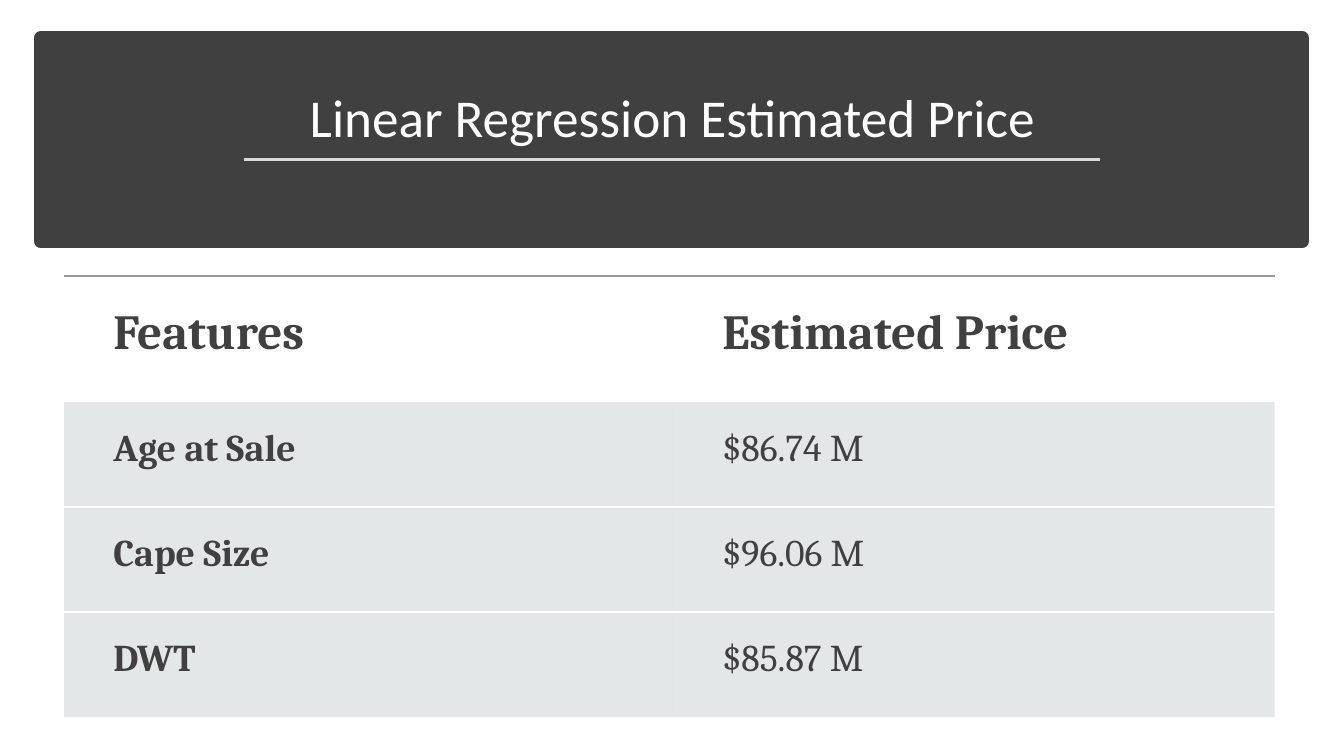
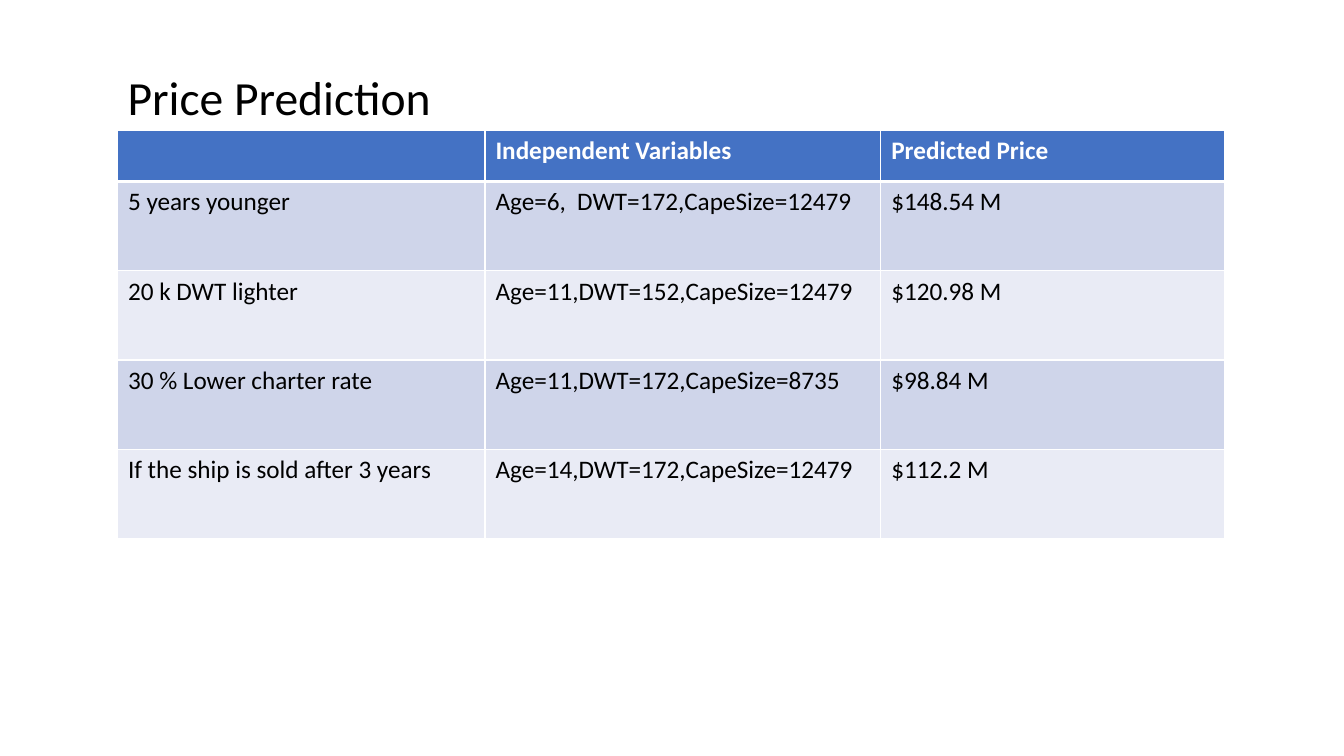
from dataclasses import dataclass, field
from typing import Optional

import lxml.etree
import pptx
import pptx.dml.color
import pptx.enum.shapes
import pptx.enum.text
import pptx.oxml.ns
import pptx.util

RGBColor = pptx.dml.color.RGBColor
ALIGN = pptx.enum.text.PP_ALIGN
ANCHOR = pptx.enum.text.MSO_ANCHOR
qn = pptx.oxml.ns.qn

EMU_PER_PX = 9525
TITLE_ONLY = 5
PLAIN_TABLE = "{2D5ABB26-0587-4C30-8999-92F81FD0307C}"
SANS = "Calibri"
SERIF = "Cambria"

WHITE = RGBColor(0xFF, 0xFF, 0xFF)
BLACK = RGBColor(0x00, 0x00, 0x00)
CHARCOAL = RGBColor(0x40, 0x40, 0x40)
SILVER = RGBColor(0xD9, 0xD9, 0xD9)
SLATE = RGBColor(0x8F, 0x9A, 0x9D)
MIST = RGBColor(0xB4, 0xBC, 0xBE)
BLUE = RGBColor(0x44, 0x72, 0xC4)
BLUE_BAND = RGBColor(0xCF, 0xD5, 0xEA)
PALE_BAND = RGBColor(0xE9, 0xEB, 0xF5)


@dataclass(frozen=True)
class Border:
    color: RGBColor
    points: float
    opacity: int = 100


@dataclass(frozen=True)
class RowStyle:
    size: int
    font: str
    color: RGBColor
    bold: tuple[bool, ...]
    fill: Optional[RGBColor] = None
    opacity: int = 100
    margins: tuple[int, int, int, int] = (10, 5, 10, 5)
    borders: dict[str, Border] = field(default_factory=dict)


@dataclass(frozen=True)
class Row:
    height: int
    style: RowStyle
    texts: tuple[str, ...]


def px(value: int) -> pptx.util.Emu:
    return pptx.util.Emu(value * EMU_PER_PX)


def write_text(frame, text: str, *, size: int, font: str, color: RGBColor,
               bold: bool = False, align=ALIGN.LEFT, spacing: float = 1.0) -> None:
    para = frame.paragraphs[0]
    para.alignment = align
    para.line_spacing = spacing
    span = para.add_run()
    span.text = text
    span.font.size = pptx.util.Pt(size)
    span.font.name = font
    span.font.bold = bold
    span.font.color.rgb = color


def set_opacity(element, percent: int) -> None:
    if percent < 100:
        for color in element.iter(qn("a:srgbClr")):
            lxml.etree.SubElement(color, qn("a:alpha"), val=str(percent * 1000))


def set_borders(cell, borders: dict[str, Border]) -> None:
    properties = cell._tc.get_or_add_tcPr()
    for side in "LRTB":
        border = borders.get(side)
        if border is None:
            continue
        line = lxml.etree.SubElement(properties, qn(f"a:ln{side}"),
                                     w=str(int(pptx.util.Pt(border.points))))
        solid = lxml.etree.SubElement(line, qn("a:solidFill"))
        lxml.etree.SubElement(solid, qn("a:srgbClr"), val=str(border.color))
        set_opacity(line, border.opacity)


def style_cell(cell, text: str, style: RowStyle, bold: bool) -> None:
    (cell.margin_left, cell.margin_top,
     cell.margin_right, cell.margin_bottom) = map(px, style.margins)
    set_borders(cell, style.borders)
    if style.fill is None:
        cell.fill.background()
    else:
        cell.fill.solid()
        cell.fill.fore_color.rgb = style.fill
        set_opacity(cell._tc.tcPr.find(qn("a:solidFill")), style.opacity)
    if text:
        write_text(cell.text_frame, text, size=style.size, font=style.font,
                   color=style.color, bold=bold)


def add_grid(page, left: int, top: int, widths: tuple[int, ...], rows: list[Row]) -> None:
    frame = page.shapes.add_table(len(rows), len(widths), px(left), px(top),
                                  px(sum(widths)), px(sum(row.height for row in rows)))
    table = frame.table
    table.horz_banding = False
    table.first_row = False
    table._tbl.tblPr.find(qn("a:tableStyleId")).text = PLAIN_TABLE
    for column, width in zip(table.columns, widths):
        column.width = px(width)
    for index, row in enumerate(rows):
        table.rows[index].height = px(row.height)
        for column, text in enumerate(row.texts):
            style_cell(table.cell(index, column), text, row.style, row.style.bold[column])


def set_title(page, text: str, box: tuple[int, int, int, int], *, anchor, **text_format):
    title = page.shapes.title
    title.left, title.top, title.width, title.height = map(px, box)
    frame = title.text_frame
    frame.word_wrap = True
    frame.auto_size = pptx.enum.text.MSO_AUTO_SIZE.NONE
    frame.vertical_anchor = anchor
    write_text(frame, text, font=SANS, **text_format)
    return title


def add_title_band(page, title) -> None:
    band = page.shapes.add_shape(pptx.enum.shapes.MSO_SHAPE.RECTANGLE,
                                 px(39), px(36), px(1201), px(194))
    band.shadow.inherit = False
    band.fill.solid()
    band.fill.fore_color.rgb = CHARCOAL
    band.line.color.rgb = CHARCOAL
    band.line.width = pptx.util.Pt(10)
    title.element.addprevious(band.element)

    rule = page.shapes.add_connector(pptx.enum.shapes.MSO_CONNECTOR.STRAIGHT,
                                     px(232), px(152), px(1048), px(152))
    rule.line.color.rgb = SILVER
    rule.line.width = pptx.util.Pt(1.75)
    lxml.etree.SubElement(rule.element.spPr, qn("a:effectLst"))


def build_estimates(page) -> None:
    title = set_title(page, "Linear Regression Estimated Price", (56, 49, 1169, 98),
                      anchor=ANCHOR.BOTTOM, size=38, color=WHITE,
                      align=ALIGN.CENTER, spacing=0.9)
    add_title_band(page, title)
    header = RowStyle(35, SERIF, CHARCOAL, (True, True), margins=(47, 28, 28, 28),
                      borders={"T": Border(SLATE, 1.5, 60)})
    estimates = [("Age at Sale", "$86.74 M"), ("Cape Size", "$96.06 M"), ("DWT", "$85.87 M")]
    rows = [Row(120, header, ("Features", "Estimated Price"))]
    separator = Border(WHITE, 1.5)
    for index, texts in enumerate(estimates):
        borders = {}
        if index > 0:
            borders["T"] = separator
        if index < len(estimates) - 1:
            borders["B"] = separator
        style = RowStyle(27, SERIF, CHARCOAL, (True, False), MIST, 35,
                         (47, 24, 24, 24), borders)
        rows.append(Row(100, style, texts))
    add_grid(page, 61, 263, (580, 573), rows)


def build_predictions(page) -> None:
    set_title(page, "Price Prediction", (112, 60, 424, 64),
              anchor=ANCHOR.TOP, size=34, color=BLACK)
    thin = {side: Border(WHITE, 1) for side in "LRTB"}
    thick = Border(WHITE, 3)
    header = RowStyle(18, SANS, WHITE, (True,) * 3, BLUE, borders={**thin, "B": thick})
    predictions = [
        ("5 years younger", "Age=6,  DWT=172,CapeSize=12479", "$148.54 M"),
        ("20 k DWT lighter", "Age=11,DWT=152,CapeSize=12479", "$120.98 M"),
        ("30 % Lower charter rate", "Age=11,DWT=172,CapeSize=8735", "$98.84 M"),
        ("If the ship is sold after 3 years", "Age=14,DWT=172,CapeSize=12479", "$112.2 M"),
    ]
    rows = [Row(49, header, ("", "Independent Variables", "Predicted Price"))]
    for index, texts in enumerate(predictions):
        borders = {**thin, "T": thick} if index == 0 else thin
        fill = PALE_BAND if index % 2 else BLUE_BAND
        rows.append(Row(85, RowStyle(18, SANS, BLACK, (False,) * 3, fill, borders=borders), texts))
    add_grid(page, 112, 124, (350, 377, 327), rows)


def main() -> None:
    deck = pptx.Presentation()
    deck.slide_width, deck.slide_height = px(1280), px(720)
    for build in (build_estimates, build_predictions):
        build(deck.slides.add_slide(deck.slide_layouts[TITLE_ONLY]))
    deck.save("out.pptx")


if __name__ == "__main__":
    main()
